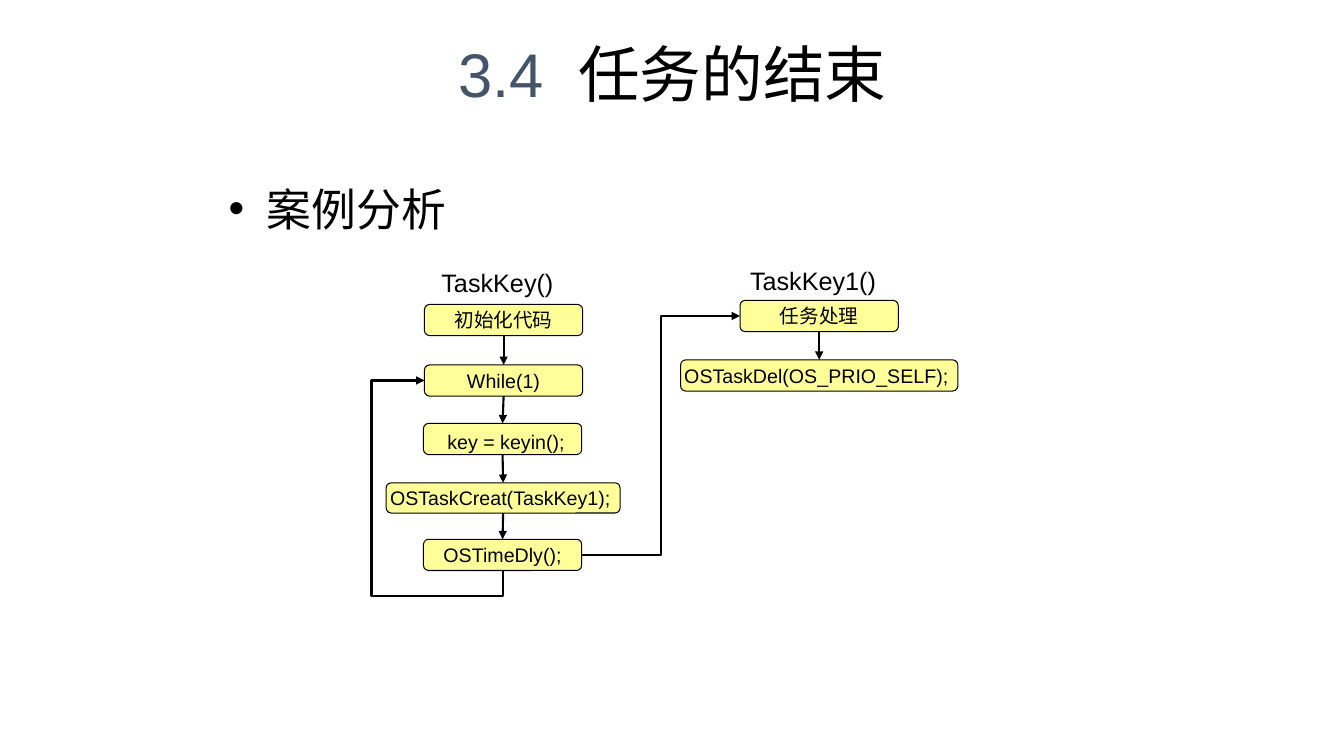
from lxml import etree
from pptx import Presentation
from pptx.dml.color import RGBColor
from pptx.enum.shapes import MSO_CONNECTOR, MSO_SHAPE
from pptx.enum.text import MSO_ANCHOR, MSO_AUTO_SIZE, PP_ALIGN
from pptx.oxml.ns import qn
from pptx.util import Inches, Pt

ROUND = MSO_SHAPE.ROUNDED_RECTANGLE
LINE, ELBOW = MSO_CONNECTOR.STRAIGHT, MSO_CONNECTOR.ELBOW
LEFT, CENTER = PP_ALIGN.LEFT, PP_ALIGN.CENTER
TOP, MIDDLE = MSO_ANCHOR.TOP, MSO_ANCHOR.MIDDLE
NORTH, WEST, SOUTH, EAST = range(4)

BLACK, SLATE, YELLOW = "000000", "44546A", "FFFF99"
TITLE = [("3.4  ", 44, SLATE), ("任务的结束", 44, BLACK)]
POINT = [("案例分析", 32, BLACK)]
HEADS = [
    ("TaskKey()", (4.28, 2.6, 1.5, 0.4)),
    ("TaskKey1()", (7.34, 2.58, 1.48, 0.4)),
]
NODES = {
    "init": ((4.21, 3.02, 1.57, 0.31), [("初始化代码", 14, BLACK)]),
    "while": ((4.21, 3.62, 1.57, 0.31), [("While(1)", 14, BLACK)]),
    "key": ((4.2, 4.2, 1.57, 0.31), [(" ", 18, BLACK), ("key = keyin();", 14, BLACK)]),
    "create": ((3.83, 4.79, 2.32, 0.3), [("OSTaskCreat(TaskKey1); ", 14, BLACK)]),
    "delay": ((4.2, 5.35, 1.57, 0.31), [("OSTimeDly();", 14, BLACK)]),
    "work": ((7.34, 2.98, 1.57, 0.31), [("任务处理", 14, BLACK)]),
    "delete": ((6.75, 3.57, 2.75, 0.31), [("OSTaskDel(OS_PRIO_SELF); ", 14, BLACK)]),
}
FLOWS = [["init", "while", "key", "create", "delay"], ["work", "delete"]]
LOOP = {"adj1": -13200, "adj2": 167700}


def color(code):
    return RGBColor.from_string(code)


def write(shape, runs, align=LEFT, anchor=TOP, wrap=True):
    frame = shape.text_frame
    form = {"word_wrap": wrap, "auto_size": MSO_AUTO_SIZE.NONE, "vertical_anchor": anchor}
    for name, value in form.items():
        setattr(frame, name, value)
    para = frame.paragraphs[0]
    para.alignment = align
    for text, size, code in runs:
        run = para.add_run()
        run.text = text
        for name, value in {"name": "Arial", "size": Pt(size), "bold": False}.items():
            setattr(run.font, name, value)
        run.font.color.rgb = color(code)
    return para


def place(shape, box):
    for name, value in zip(("left", "top", "width", "height"), box):
        setattr(shape, name, Inches(value))


def add_text(slide, box, runs):
    return write(slide.shapes.add_textbox(*map(Inches, box)), runs)


def add_node(slide, box, runs):
    node = slide.shapes.add_shape(ROUND, *map(Inches, box))
    node.shadow.inherit = False
    node.fill.solid()
    node.fill.fore_color.rgb = color(YELLOW)
    node.line.color.rgb = color(BLACK)
    node.line.width = Pt(0.75)
    write(node, runs, CENTER, MIDDLE, False)
    return node


def add_arrow(slide, kind, start, end):
    arrow = slide.shapes.add_connector(kind, *start, *end)
    arrow.line.color.rgb = color(BLACK)
    arrow.line.width = Pt(1.5)
    props = arrow._element.spPr
    etree.SubElement(props.find(qn("a:ln")), qn("a:tailEnd"), type="triangle")
    etree.SubElement(props, qn("a:effectLst"))
    return arrow


def join(slide, kind, first, side, last, end):
    arrow = add_arrow(slide, kind, (0, 0), (0, 0))
    arrow.begin_connect(first, side)
    arrow.end_connect(last, end)


def add_loop(slide, first, last):
    x1, y1 = first.left + first.width // 2, first.top + first.height
    x2, y2 = last.left, last.top + last.height // 2
    mid_x, mid_y = (x1 + x2) // 2, (y1 + y2) // 2
    half_w, half_h = (y1 - y2) // 2, (x1 - x2) // 2
    arrow = add_arrow(slide, ELBOW, (mid_x - half_w, mid_y + half_h),
                      (mid_x + half_w, mid_y - half_h))
    props = arrow._element.spPr
    props.find(qn("a:xfrm")).set("rot", "16200000")
    geom = props.find(qn("a:prstGeom"))
    geom.set("prst", "bentConnector4")
    guides = geom.find(qn("a:avLst"))
    if guides is None:
        guides = etree.SubElement(geom, qn("a:avLst"))
    for name, value in LOOP.items():
        etree.SubElement(guides, qn("a:gd"), name=name, fmla=f"val {value}")


def main():
    deck = Presentation()
    deck.slide_width, deck.slide_height = Inches(13.33), Inches(7.5)
    slide = deck.slides.add_slide(deck.slide_layouts[5])
    title = slide.shapes.title
    place(title, (2.17, 0.1, 9, 1.25))
    write(title, TITLE, CENTER, MIDDLE)

    props = add_text(slide, (2.17, 1.75, 9, 0.67), POINT)._p.get_or_add_pPr()
    props.set("marL", str(Inches(0.38)))
    props.set("indent", str(-Inches(0.38)))
    etree.SubElement(props, qn("a:buFont"), typeface="Arial")
    etree.SubElement(props, qn("a:buChar"), char="•")

    for text, box in HEADS:
        add_text(slide, box, [(text, 18, BLACK)])
    nodes = {name: add_node(slide, *item) for name, item in NODES.items()}
    for flow in FLOWS:
        for first, last in zip(flow, flow[1:]):
            join(slide, LINE, nodes[first], SOUTH, nodes[last], NORTH)
    join(slide, ELBOW, nodes["delay"], EAST, nodes["work"], WEST)
    add_loop(slide, nodes["delay"], nodes["while"])
    deck.save("out.pptx")


if __name__ == "__main__":
    main()
